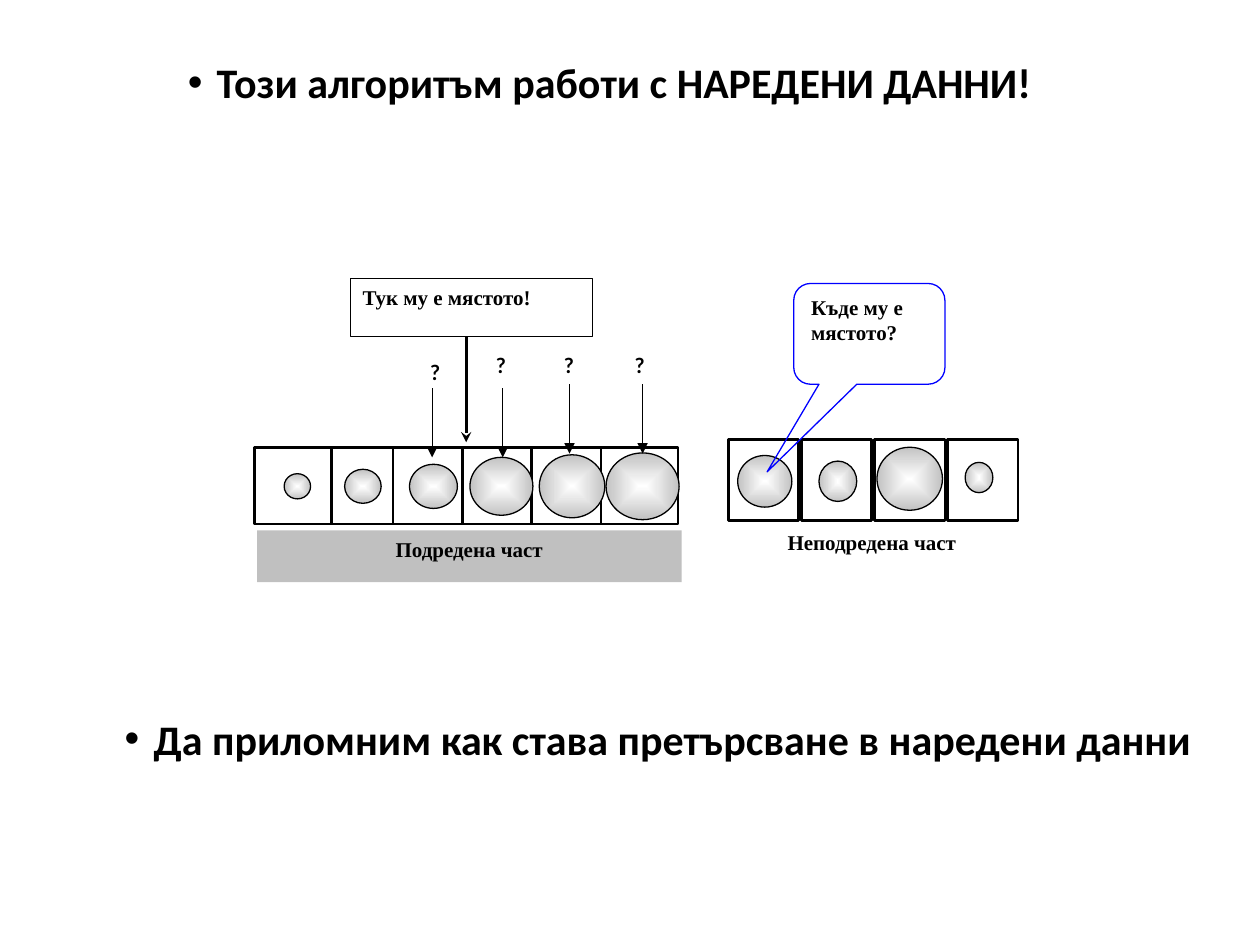
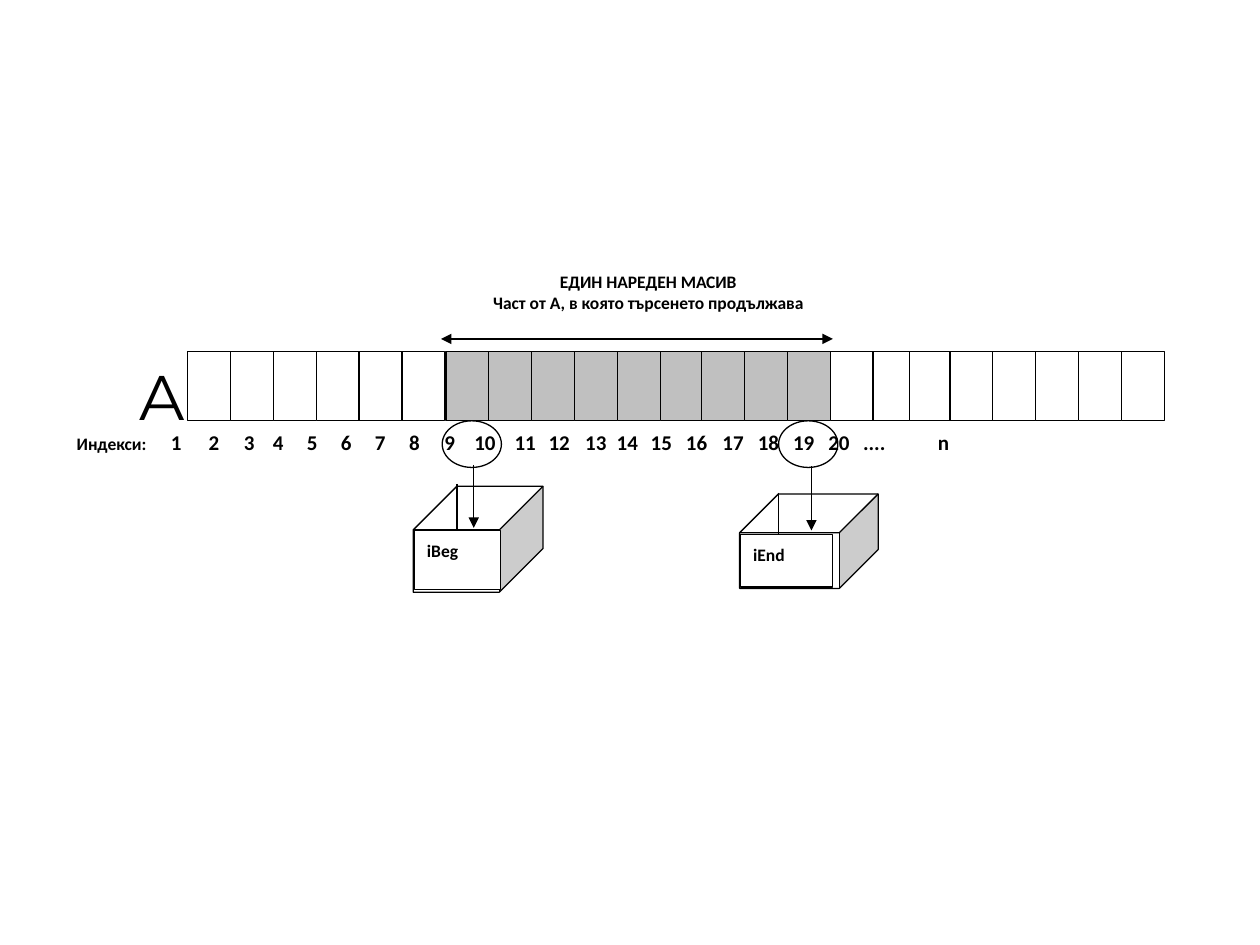
"""Build two slides on sorting and searching in ordered data."""
from pptx import Presentation, util as u
from pptx.dml.color import RGBColor
from pptx.enum import shapes, text
from pptx.oxml import parse_xml
from pptx.oxml.ns import nsdecls, qn

BLACK, WHITE, GREY, BLUE = "000000", "FFFFFF", "C0C0C0", "0000FF"
BALL_EDGE = "C2C2C2"
BODY, SERIF, MARK, LETTER = "Calibri", "Times New Roman", "Lato", "Montserrat"
SHAPE = shapes.MSO_SHAPE
CENTER = text.PP_ALIGN.CENTER


def color(value):
    """Turn a hex string into a colour."""
    return RGBColor.from_string(value)


def element(tag, content="", attributes=""):
    """Make one DrawingML element."""
    return parse_xml(f"<a:{tag} {nsdecls('a')} {attributes}>{content}</a:{tag}>")


class Deck:
    """Holds the presentation, the current slide and the shared style."""

    def __init__(self):
        """Start an empty 10 by 7.5 inch presentation."""
        self.presentation = Presentation()
        self.presentation.slide_width = u.Inches(10)
        self.presentation.slide_height = u.Inches(7.5)
        self.slide = None

    def new_slide(self):
        """Add a blank slide and make it current."""
        self.slide = self.presentation.slides.add_slide(
            self.presentation.slide_layouts[6])

    def shape(self, kind, box, fill=None, line=None, weight=0.75):
        """Draw a preset shape without a shadow."""
        shape = self.slide.shapes.add_shape(kind, *map(u.Inches, box))
        shape.shadow.inherit = False
        if fill:
            shape.fill.solid()
            shape.fill.fore_color.rgb = color(fill)
        else:
            shape.fill.background()
        if line:
            shape.line.color.rgb = color(line)
            shape.line.width = u.Pt(weight)
        else:
            shape.line.fill.background()
        return shape

    def label(self, shape, lines, size=12, font=BODY, bold=True, align=text.PP_ALIGN.LEFT,
              top=0.05):
        """Fill a shape with paragraphs, each a string or a list of (text, size)."""
        frame = shape.text_frame
        frame.word_wrap = True
        frame.vertical_anchor = text.MSO_ANCHOR.TOP
        frame.margin_top = u.Inches(top)
        for number, line in enumerate(lines):
            paragraph = frame.add_paragraph() if number else frame.paragraphs[0]
            paragraph.alignment = align
            for words, points in ([(line, size)] if isinstance(line, str) else line):
                run = paragraph.add_run()
                run.text = words
                run.font.size, run.font.name, run.font.bold = u.Pt(points), font, bold
                run.font.color.rgb = color(BLACK)
        return frame

    def text(self, box, lines, **style):
        """Add a text box."""
        return self.label(self.slide.shapes.add_textbox(*map(u.Inches, box)), lines, **style)

    def heading(self, box, words):
        """Add a large bulleted statement."""
        frame = self.text(box, [words], size=24, top=0.18)
        frame.margin_left = u.Inches(0.5)
        properties = frame.paragraphs[0]._p.get_or_add_pPr()
        properties.set("marL", str(u.Inches(1)))
        properties.set("indent", str(u.Inches(-0.23)))
        properties.append(element("buFont", attributes='typeface="Arial"'))
        properties.append(element("buChar", attributes='char="•"'))

    def line(self, start, end, weight=0.75, head=None, tail=None):
        """Draw a straight line with optional arrowheads."""
        connector = self.slide.shapes.add_connector(
            shapes.MSO_CONNECTOR.STRAIGHT, *map(u.Inches, start + end))
        connector.line.color.rgb = color(BLACK)
        connector.line.width = u.Pt(weight)
        outline = connector._element.spPr.find(qn("a:ln"))
        for tag, kind in (("headEnd", head), ("tailEnd", tail)):
            if kind:
                outline.append(element(tag, attributes=f'type="{kind}"'))
        connector._element.spPr.append(element("effectLst"))

    def ball(self, x, y, width, height):
        """Draw a shaded ball around a centre point."""
        ball = self.shape(SHAPE.OVAL, (x - width / 2, y - height / 2, width, height),
                          line=BLACK)
        stops = "".join(f'<a:gs pos="{place}"><a:srgbClr val="{tone}"/></a:gs>'
                        for place, tone in ((0, WHITE), (100000, BALL_EDGE)))
        middle = " ".join(f'{side}="50000"' for side in "ltrb")
        gradient = element("gradFill", f'<a:gsLst>{stops}</a:gsLst><a:path path="shape">'
                           f'<a:fillToRect {middle}/></a:path>')
        properties = ball._element.spPr
        properties.replace(properties.find(qn("a:noFill")), gradient)

    def cells(self, left, top, width, height, pitch, order, fill=WHITE, weight=0.75):
        """Draw a row of array cells in the given stacking order."""
        for index in order:
            self.shape(SHAPE.RECTANGLE, (left + index * pitch, top, width, height),
                       fill, BLACK, weight)

    def variable(self, box, name, front, edge_top):
        """Draw an open box that stands for a variable, with its name in front."""
        cube = self.shape(SHAPE.CUBE, box, WHITE, BLACK)
        cube.adjustments[0] = 0.412
        inner = box[0] + 0.412 * box[3]
        self.line((inner, edge_top), (inner, front[1]))
        front_shape = self.shape(SHAPE.RECTANGLE, front, WHITE, BLACK)
        self.label(front_shape, [name], size=10, top=0.08)


def insertion_slide(deck):
    """Show how an element finds its place in the sorted part."""
    deck.new_slide()
    deck.heading((0.22, 0.27, 8.31, 1.02), "Този алгоритъм работи с НАРЕДЕНИ ДАННИ!")

    deck.cells(2.02, 3.55, 0.61, 0.61, 0.55, (1, 2, 3, 4, 5, 0), weight=1.5)
    sorted_label = deck.shape(SHAPE.RECTANGLE, (2.04, 4.21, 3.37, 0.41), GREY)
    deck.label(sorted_label, ["Подредена част"], font=SERIF, align=CENTER)
    for x, width, height in ((2.36, 0.21, 0.2), (2.88, 0.29, 0.27), (3.44, 0.38, 0.35),
                             (3.98, 0.5, 0.46), (5.1, 0.58, 0.53), (4.54, 0.52, 0.5)):
        deck.ball(x, 3.86, width, height)

    for x, top in ((3.43, 3.08), (3.99, 3.08), (4.52, 3.05), (5.1, 3.05)):
        deck.line((x, top), (x, top + 0.55), tail="triangle")
    first_mark = deck.shape(SHAPE.OVAL, (3.24, 2.72, 0.53, 0.55))
    deck.label(first_mark, ["?"], font=MARK)
    for left in (3.84, 4.38, 4.94):
        deck.text((left, 2.75, 0.53, 0.55), ["?"], font=MARK)
    deck.line((3.7, 2.63), (3.7, 3.51), weight=1.5, tail="stealth")

    deck.cells(5.78, 3.49, 0.56, 0.64, 0.58, range(4), weight=1.5)
    deck.text((5.76, 4.15, 2.32, 0.43), ["Неподредена част"], font=SERIF, align=CENTER)
    for ball in ((7.77, 3.79, 0.22, 0.24), (6.65, 3.82, 0.3, 0.32),
                 (6.07, 3.82, 0.43, 0.41), (7.22, 3.8, 0.52, 0.5)):
        deck.ball(*ball)

    question = deck.shape(SHAPE.ROUNDED_RECTANGULAR_CALLOUT, (6.3, 2.25, 1.2, 0.8), line=BLUE)
    for index, value in enumerate((-0.676, 1.369, 0.167)):
        question.adjustments[index] = value
    deck.label(question, ["Къде му е мястото?"], font=SERIF)
    answer = deck.shape(SHAPE.RECTANGLE, (2.78, 2.21, 1.92, 0.46), WHITE, BLACK)
    deck.label(answer, ["Тук му е мястото!"], font=SERIF)
    deck.heading((-0.28, 5.48, 10.03, 1.02), "Да приломним как става претърсване в наредени данни")


def index_row(deck):
    """Set the indices under the array, each centred on a tab stop."""
    stops = (0.79, 1.09, 1.37, 1.6, 1.87, 2.14, 2.41, 2.68, 2.96, 3.24, 3.56, 3.83, 4.12,
             4.37, 4.64, 4.92, 5.21, 5.49, 5.77, 6.05, 6.33, 6.88)
    labels = [*map(str, range(1, 21)), "....", "n"]
    indices = "".join("\t" + label for label in labels)
    frame = deck.text((0.51, 3.36, 8.81, 0.35), [[("Индекси:", 10), (indices, 12)]])
    tabs = "".join(f'<a:tab pos="{u.Inches(stop)}" algn="ctr"/>' for stop in stops)
    frame.paragraphs[0]._p.get_or_add_pPr().append(element("tabLst", tabs))


def search_slide(deck):
    """Show the part of an ordered array where the search goes on."""
    deck.new_slide()
    index_row(deck)
    deck.text((3.16, 2.1, 3.97, 0.73),
              ["ЕДИН НАРЕДЕН МАСИВ", "Част от А, в която търсенето продължава"],
              size=10, align=CENTER)
    deck.line((3.5, 2.69), (6.61, 2.69), head="triangle", tail="triangle")

    for left, count, fill in ((1.49, 6, WHITE), (3.54, 6, GREY), (5.57, 3, GREY),
                              (6.59, 2, WHITE), (7.22, 1, WHITE), (7.54, 5, WHITE)):
        deck.cells(left, 2.79, 0.34, 0.55, 0.34, range(count), fill)
    array_name = deck.text((1, 2.79, 0.31, 0.56), ["А"], size=36, font=LETTER, bold=False,
                           align=CENTER)
    array_name.word_wrap = False
    for left in (3.51, 6.18):
        deck.shape(SHAPE.OVAL, (left, 3.34, 0.47, 0.37), line=BLACK)

    deck.variable((3.28, 3.86, 1.03, 0.84), "iBeg", (3.29, 4.21, 0.68, 0.47), 3.84)
    deck.line((3.76, 3.69), (3.76, 4.19), tail="triangle")
    deck.variable((5.87, 3.92, 1.1, 0.75), "iEnd", (5.88, 4.24, 0.73, 0.42), 3.91)
    deck.line((6.44, 3.7), (6.44, 4.21), tail="triangle")


deck = Deck()
insertion_slide(deck)
search_slide(deck)
deck.presentation.save("out.pptx")
